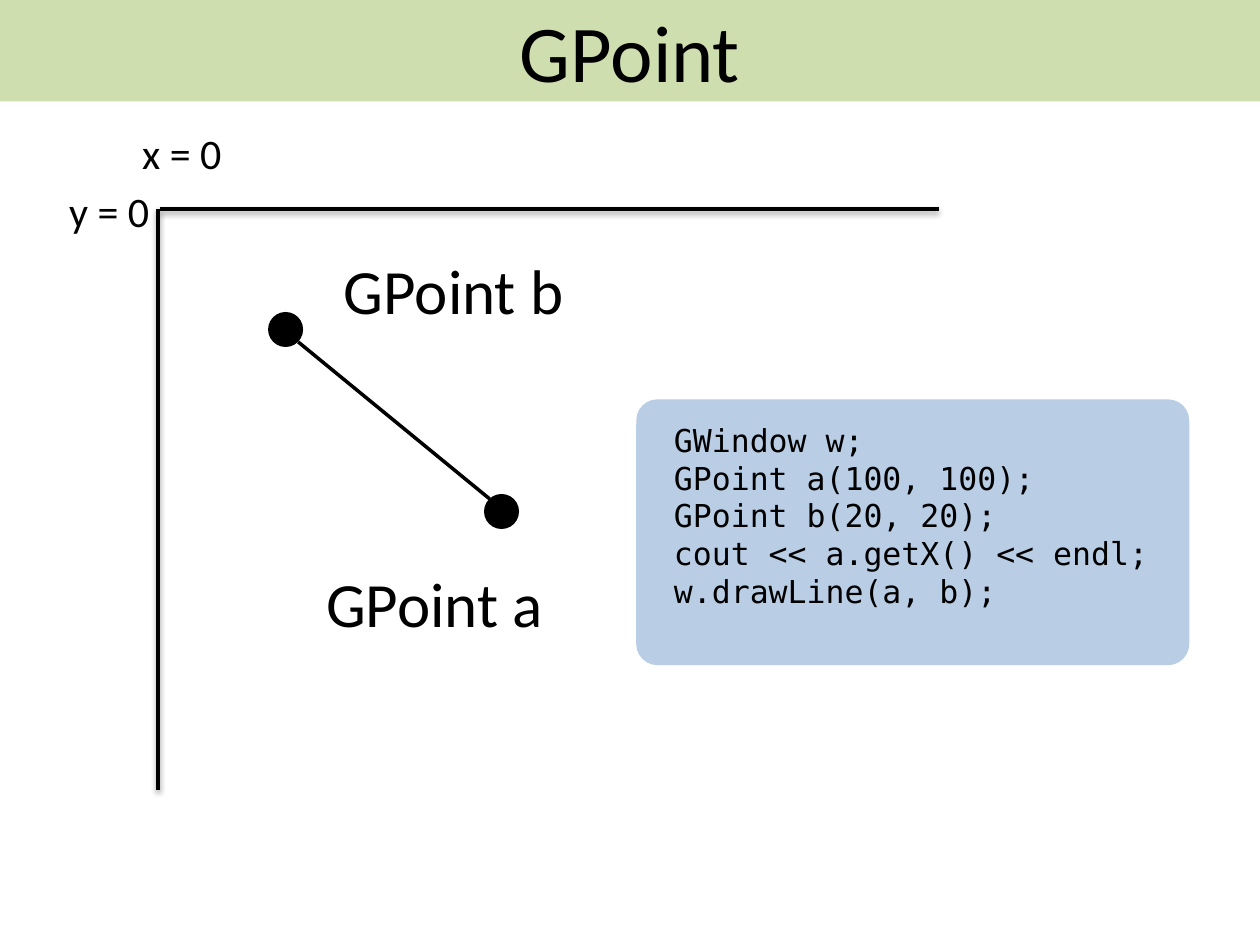
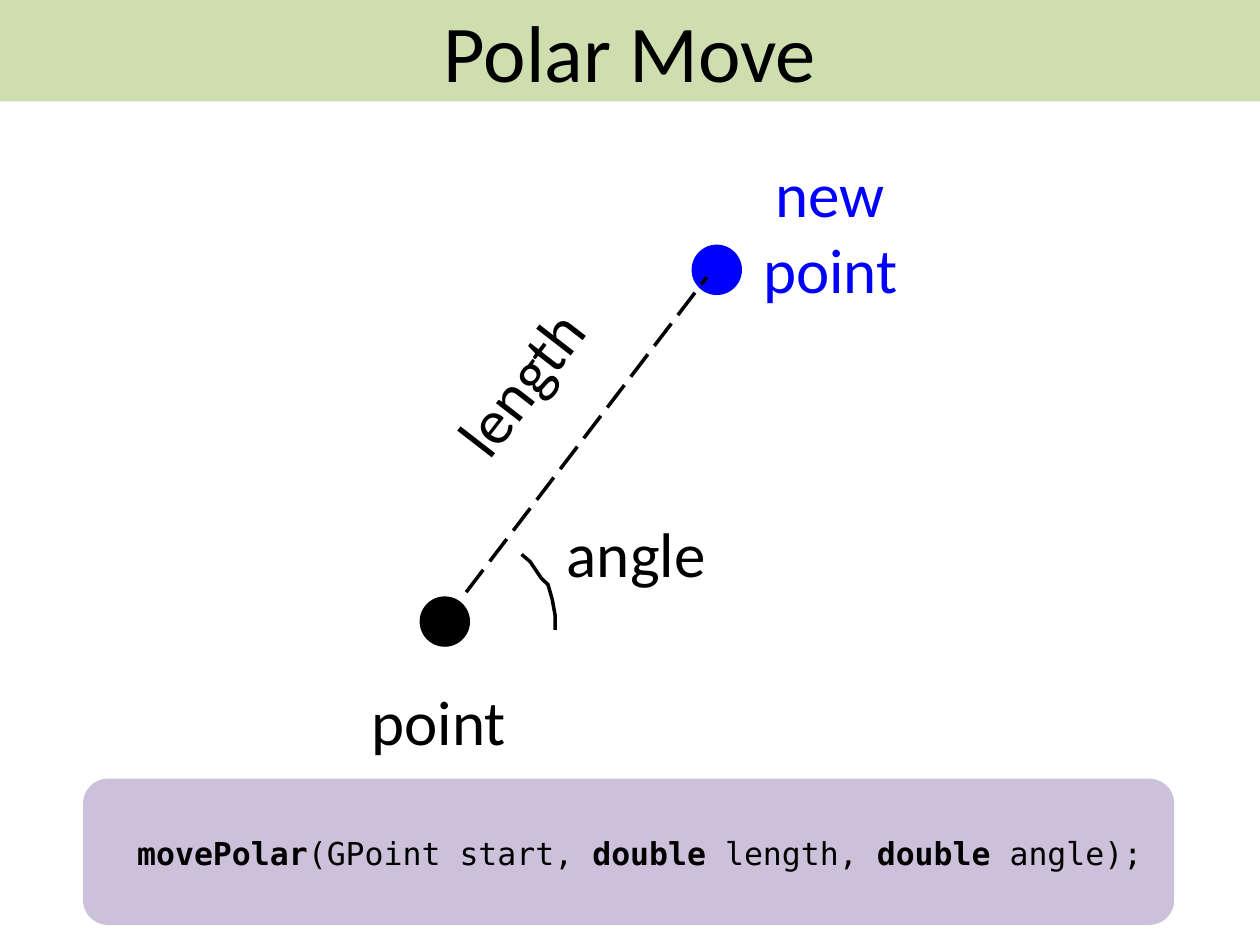
from dataclasses import dataclass

from lxml import etree
from pptx import Presentation
from pptx import util as u
from pptx.dml.color import RGBColor
from pptx.enum import dml, shapes, text
from pptx.oxml import ns
from pptx.shapes.autoshape import Shape
from pptx.shapes.connector import Connector
from pptx.slide import Slide
from pptx.text.text import TextFrame

Pt = u.Pt

BLACK = RGBColor(0x00, 0x00, 0x00)
BLUE = RGBColor(0x00, 0x00, 0xFF)
BAND_GREEN = RGBColor(0xC3, 0xD6, 0x9B)
CODE_BLUE = RGBColor(0xB9, 0xCD, 0xE5)
CODE_PURPLE = RGBColor(0xCC, 0xC1, 0xDA)

BODY_FONT = "Calibri"
CODE_FONT = "DejaVu Sans Mono"
SLIDE_WIDTH, SLIDE_HEIGHT = 720, 540
BAND_HEIGHT = 58
LINE_WIDTH = 2


@dataclass(frozen=True)
class Box:
    left: float
    top: float
    width: float
    height: float

    def lengths(self) -> tuple[u.Length, ...]:
        return tuple(Pt(side) for side in (self.left, self.top, self.width, self.height))


@dataclass(frozen=True)
class Label:
    words: str
    box: Box
    size: float = 36
    font: str = BODY_FONT
    color: RGBColor = BLACK
    align: text.PP_ALIGN = text.PP_ALIGN.LEFT
    rotation: float = 0


@dataclass(frozen=True)
class Dot:
    x: float
    y: float
    diameter: float
    color: RGBColor = BLACK


@dataclass(frozen=True)
class Stroke:
    start: tuple[float, float]
    end: tuple[float, float]
    dash: dml.MSO_LINE | None = None
    shadow: bool = False


def write_text(frame: TextFrame, words: str, *, size: float, font: str = BODY_FONT,
               color: RGBColor = BLACK, align: text.PP_ALIGN = text.PP_ALIGN.LEFT) -> None:
    """Write one paragraph per line; parts between ** marks are bold."""
    for number, line in enumerate(words.split("\n")):
        paragraph = frame.add_paragraph() if number else frame.paragraphs[0]
        paragraph.alignment = align
        for index, part in enumerate(line.split("**")):
            if part:
                run = paragraph.add_run()
                run.text = part
                run.font.name = font
                run.font.size = Pt(size)
                run.font.bold = index % 2 == 1
                run.font.color.rgb = color


def add_filled(slide: Slide, kind: shapes.MSO_SHAPE, box: Box, color: RGBColor) -> Shape:
    shape = slide.shapes.add_shape(kind, *box.lengths())
    shape.shadow.inherit = False
    shape.fill.solid()
    shape.fill.fore_color.rgb = color
    shape.line.fill.background()
    return shape


def add_title_band(slide: Slide, title: str) -> None:
    band = add_filled(slide, shapes.MSO_SHAPE.RECTANGLE,
                      Box(0, 0, SLIDE_WIDTH, BAND_HEIGHT), BAND_GREEN)
    fill_color = band.fill._xPr.find(".//" + ns.qn("a:srgbClr"))
    etree.SubElement(fill_color, ns.qn("a:alpha"), val="80000")
    band.text_frame.vertical_anchor = text.MSO_ANCHOR.MIDDLE
    write_text(band.text_frame, title, size=46, align=text.PP_ALIGN.CENTER)


def add_code_panel(slide: Slide, box: Box, color: RGBColor, corner: float) -> None:
    panel = add_filled(slide, shapes.MSO_SHAPE.ROUNDED_RECTANGLE, box, color)
    panel.adjustments[0] = corner


def add_label(slide: Slide, label: Label) -> None:
    holder = slide.shapes.add_textbox(*label.box.lengths())
    holder.rotation = label.rotation
    frame = holder.text_frame
    frame.word_wrap = False
    frame.auto_size = text.MSO_AUTO_SIZE.SHAPE_TO_FIT_TEXT
    write_text(frame, label.words, size=label.size, font=label.font,
               color=label.color, align=label.align)


def add_dot(slide: Slide, dot: Dot) -> None:
    """Draw a dot around its centre."""
    radius = dot.diameter / 2
    box = Box(dot.x - radius, dot.y - radius, dot.diameter, dot.diameter)
    add_filled(slide, shapes.MSO_SHAPE.OVAL, box, dot.color)


def add_stroke(slide: Slide, stroke: Stroke) -> Connector:
    ends = [Pt(value) for value in (*stroke.start, *stroke.end)]
    line = slide.shapes.add_connector(shapes.MSO_CONNECTOR.STRAIGHT, *ends)
    line.line.color.rgb = BLACK
    line.line.width = Pt(LINE_WIDTH)
    if stroke.dash:
        line.line.dash_style = stroke.dash
    effects = etree.SubElement(line._element.spPr, ns.qn("a:effectLst"))
    if stroke.shadow:
        outer = etree.SubElement(effects, ns.qn("a:outerShdw"), blurRad=str(Pt(3.1)),
                                 dist=str(Pt(1.6)), dir="5400000", rotWithShape="0")
        tint = etree.SubElement(outer, ns.qn("a:srgbClr"), val=str(BLACK))
        etree.SubElement(tint, ns.qn("a:alpha"), val="38000")
    return line


def add_curve(slide: Slide, points: list[tuple[float, float]]) -> None:
    start, *rest = [(Pt(x), Pt(y)) for x, y in points]
    builder = slide.shapes.build_freeform(*start)
    builder.add_line_segments(rest, close=False)
    curve = builder.convert_to_shape()
    curve.shadow.inherit = False
    curve.fill.background()
    curve.line.color.rgb = BLACK
    curve.line.width = Pt(LINE_WIDTH)


def build_gpoint(slide: Slide) -> None:
    add_code_panel(slide, Box(363.6, 228.2, 316, 151.9), CODE_BLUE, 0.08)
    for axis in (Stroke((90.2, 119.5), (90.2, 451.4), shadow=True),
                 Stroke((91.4, 119.5), (536.4, 119.5), shadow=True)):
        add_stroke(slide, axis)
    for point in (Dot(286.6, 292.3, 20), Dot(163.2, 188.3, 20)):
        add_dot(slide, point)
    add_stroke(slide, Stroke((170.4, 195.4), (279.8, 285.1)))

    code = ("GWindow w;\nGPoint a(100, 100);\nGPoint b(20, 20);\n"
            "cout << a.getX() << endl;\nw.drawLine(a, b);")
    for label in (
        Label("GPoint a", Box(179.3, 319, 140.4, 51)),
        Label("GPoint b", Box(189.4, 140.4, 142.6, 51)),
        Label("x = 0", Box(74.2, 69.1, 60.5, 36), size=24),
        Label("y = 0", Box(32.4, 102.4, 60.5, 36), size=24),
        Label(code, Box(378, 236.9, 287.3, 116.6), size=18, font=CODE_FONT),
    ):
        add_label(slide, label)
    add_title_band(slide, "GPoint")


def build_polar_move(slide: Slide) -> None:
    add_code_panel(slide, Box(47.5, 445, 623.5, 83.5), CODE_PURPLE, 0.17)
    for point in (Dot(254.2, 355.2, 28.8), Dot(409.6, 154.2, 28.8, BLUE)):
        add_dot(slide, point)
    add_stroke(slide, Stroke((266.4, 338.4), (403.9, 158.4), dash=dml.MSO_LINE.LONG_DASH))
    add_curve(slide, [(298.1, 316.8), (303.1, 321.1), (307.4, 327.6), (309.6, 330.7),
                      (313.2, 334.1), (315.6, 342.5), (317.2, 351.4), (317.2, 360)])

    signature = "**movePolar**(GPoint start, **double** length, **double** angle);"
    for label in (
        Label("length", Box(243.4, 192.2, 108.7, 51), rotation=307.8),
        Label("angle", Box(316.8, 290.2, 94.3, 51)),
        Label("point", Box(205.2, 386.6, 92.2, 51)),
        Label("new\npoint", Box(428.4, 85, 92.2, 94.3), color=BLUE,
              align=text.PP_ALIGN.CENTER),
        Label(signature, Box(71.3, 473, 592.6, 28.8), size=18, font=CODE_FONT),
    ):
        add_label(slide, label)
    add_title_band(slide, "Polar Move")


def main() -> None:
    deck = Presentation()
    deck.slide_width, deck.slide_height = Pt(SLIDE_WIDTH), Pt(SLIDE_HEIGHT)
    blank = deck.slide_layouts[6]
    for build in (build_gpoint, build_polar_move):
        build(deck.slides.add_slide(blank))
    deck.save("out.pptx")


if __name__ == "__main__":
    main()
